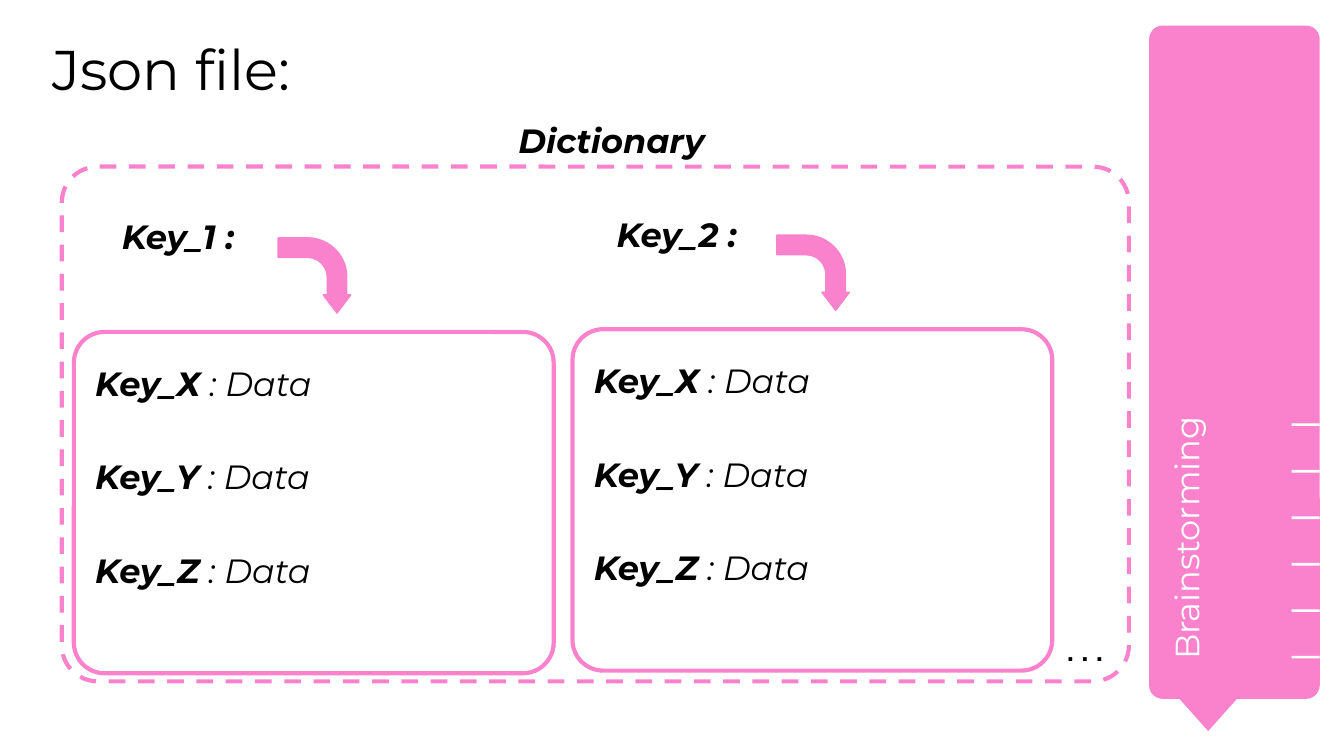
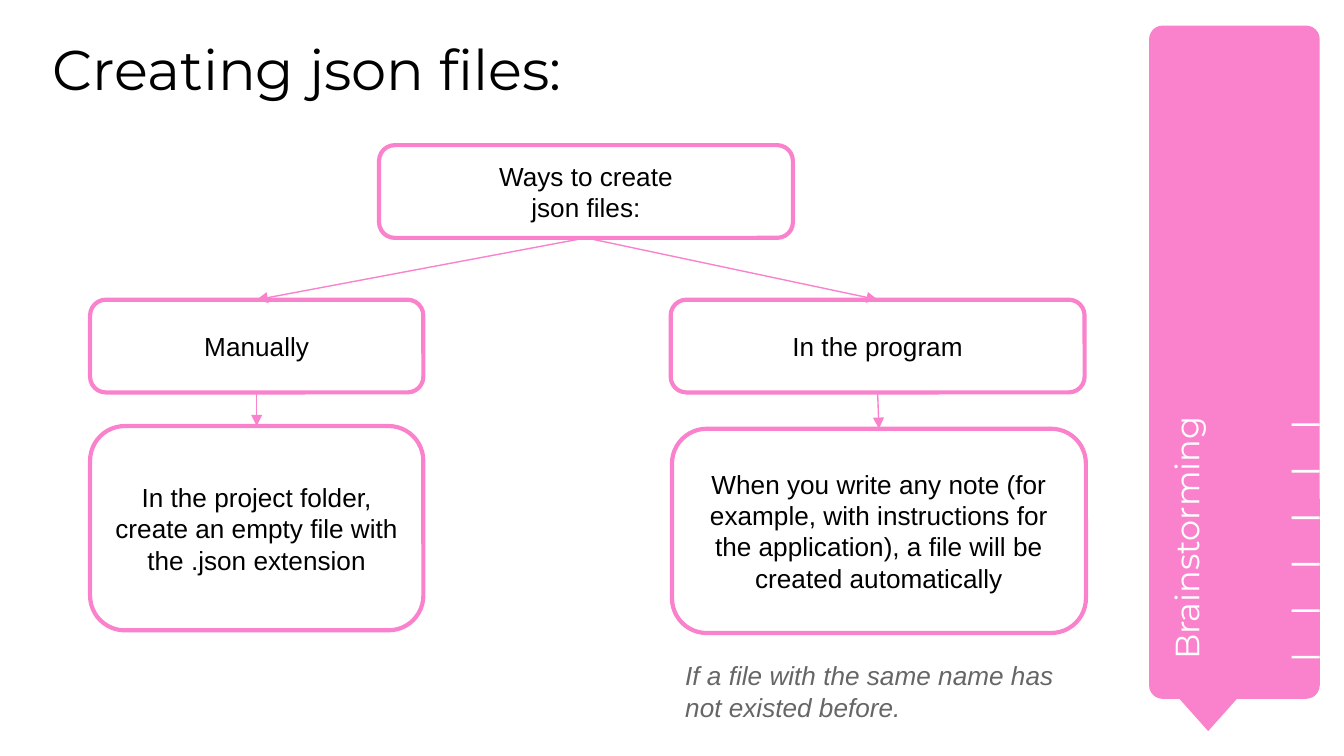
from lxml.etree import SubElement as Sub
from pptx import Presentation as Deck
from pptx.dml.color import RGBColor
from pptx.enum.dml import MSO_LINE as Dash
from pptx.enum.shapes import MSO_CONNECTOR as Conn, MSO_SHAPE as Kind
from pptx.enum.text import MSO_ANCHOR as Anchor, PP_ALIGN as Align
from pptx.oxml.ns import qn
from pptx.util import Inches, Pt

PINK, WHITE, BLACK, GREY = "FA82CC", "FFFFFF", "000000", "666666"
TITLE = {"name": "Montserrat", "size": Pt(30)}
LABEL = {"name": "Montserrat", "size": Pt(18)}
BOLD = {**LABEL, "bold": True, "italic": True}
VALUE = {**LABEL, "bold": False, "italic": True}
BODY = {"name": "Arial", "size": Pt(14)}
TOP, BOTTOM = 0, 2
WIDE = Inches(10)
SIZE = {"slide_width": WIDE, "slide_height": WIDE * 9 // 16}

KEYS = [("Key_1 :", 0.55, 2.47), ("Key_2 :", 4.26, 2.45)]
ITEMS = ["Key_Х", "Key_Y", "Key_Z"]
NODES = {
    "root": ((2.82, 1.08, 3.08, 0.69), ["Ways to create", "json files:"]),
    "hand": ((0.67, 2.23, 2.48, 0.69), ["Manually"]),
    "code": ((4.99, 2.23, 3.08, 0.69), ["In the program"]),
    "folder": ((0.67, 3.17, 2.48, 1.52), [
        "In the project folder, create an empty file with the .json extension"]),
    "auto": ((5, 3.19, 3.08, 1.52), [
        "When you write any note (for example, with instructions for "
        "the application), a file will be created automatically"]),
}
LINKS = [("root", "hand"), ("root", "code"), ("hand", "folder"), ("code", "auto")]


def tint(code):
    return RGBColor.from_string(code)


def put(obj, vals):
    for name, val in vals.items():
        setattr(obj, name, val)


def spread(first, last, count):
    return [first + num * (last - first) / (count - 1) for num in range(count)]


def write(shape, paras, color=BLACK, align=Align.LEFT, inset=0.1, anchor=Anchor.TOP):
    frame = shape.text_frame
    sides = ("left", "top", "right", "bottom")
    put(frame, {"word_wrap": True, "vertical_anchor": anchor,
                **{f"margin_{side}": Inches(inset) for side in sides}})
    for num, runs in enumerate(paras):
        para = frame.add_paragraph() if num else frame.paragraphs[0]
        para.alignment = align
        for words, form in runs:
            run = para.add_run()
            run.text = words
            put(run.font, form)
            run.font.color.rgb = tint(color)


def note(slide, at, runs, turn=0, **opts):
    box = slide.shapes.add_textbox(*map(Inches, at))
    box.rotation = turn
    write(box, [runs], **opts)


def draw(home, kind, at, fill=PINK, line=None, width=2.25, adj=(), turn=0):
    shape = home.shapes.add_shape(kind, *map(Inches, at))
    shape.shadow.inherit = False
    shape.rotation = turn
    shape.fill.solid()
    shape.fill.fore_color.rgb = tint(fill)
    if line:
        shape.line.color.rgb = tint(line)
        shape.line.width = Pt(width)
    else:
        shape.line.fill.background()
    for num, val in enumerate(adj):
        shape.adjustments[num] = val
    return shape


def card(slide, at, bend):
    return draw(slide, Kind.ROUNDED_RECTANGLE, at, WHITE, PINK, adj=[bend])


def link(slide, start, end):
    line = slide.shapes.add_connector(Conn.STRAIGHT, 0, 0, 0, 0)
    line.begin_connect(start, BOTTOM)
    line.end_connect(end, TOP)
    line.line.color.rgb = tint(PINK)
    line.line.width = Pt(0.75)
    props = line._element.spPr
    Sub(props.find(qn("a:ln")), qn("a:tailEnd"), type="triangle")
    Sub(props, qn("a:effectLst"))


def start(deck, title):
    slide = deck.slides.add_slide(deck.slide_layouts[6])
    slide.background.fill.solid()
    slide.background.fill.fore_color.rgb = tint(WHITE)
    band = slide.shapes.add_group_shape()
    draw(band, Kind.ROUNDED_RECTANGLE, (8.55, 0.19, 1.27, 5.01), adj=[0.08])
    draw(band, Kind.FLOWCHART_MERGE, (8.66, 5.07, 0.66, 0.37))
    note(slide, (7.14, 2.9, 3.54, 0.67), [("Brainstorming", LABEL)], 270, color=WHITE)
    for top in spread(3.15, 4.88, 6):
        draw(slide, Kind.RECTANGLE, (9.61, top, 0.21, 0.02), WHITE)
    note(slide, (0.39, 0.26, 7.94, 0.69), [(title, TITLE)], inset=0)
    return slide


def layout(deck):
    slide = start(deck, "Json file:")
    frame = card(slide, (0.46, 1.24, 7.94, 3.83), 0.07)
    frame.line.dash_style = Dash.DASH
    note(slide, (3.76, 0.79, 2.77, 0.36), [("Dictionary", BOLD)])
    for key, left, top in KEYS:
        card(slide, (left, top, 3.57, 2.54), 0.09)
        note(slide, (left + 0.06, top - 0.96, 1.43, 0.53), [(key, BOLD)],
             align=Align.CENTER)
        for item, row in zip(ITEMS, spread(top + 0.13, top + 1.52, len(ITEMS))):
            note(slide, (left + 0.06, row, 3.22, 0.36),
                 [(item, BOLD), (" : Data", VALUE)])
        draw(slide, Kind.BENT_ARROW, (left + 1.51, top - 0.69, 0.56, 0.54),
             line=PINK, width=0.75, adj=[0.27, 0.19, 0.25, 0.54], turn=90)
    note(slide, (7.84, 4.63, 0.54, 0.36), [(". . .", {**BODY, "bold": True})])


def ways(deck):
    slide = start(deck, "Creating json files:")
    cards = {}
    for name, (at, lines) in NODES.items():
        cards[name] = card(slide, at, 0.17)
        write(cards[name], [[(line, BODY)] for line in lines],
              align=Align.CENTER, anchor=Anchor.MIDDLE)
    note(slide, (5, 4.81, 3.08, 0.47),
         [("If a file with the same name has not existed before.",
           {**BODY, "italic": True})], color=GREY)
    for head, tail in LINKS:
        link(slide, cards[head], cards[tail])


def main():
    deck = Deck()
    put(deck, SIZE)
    layout(deck)
    ways(deck)
    deck.save("out.pptx")


if __name__ == "__main__":
    main()
